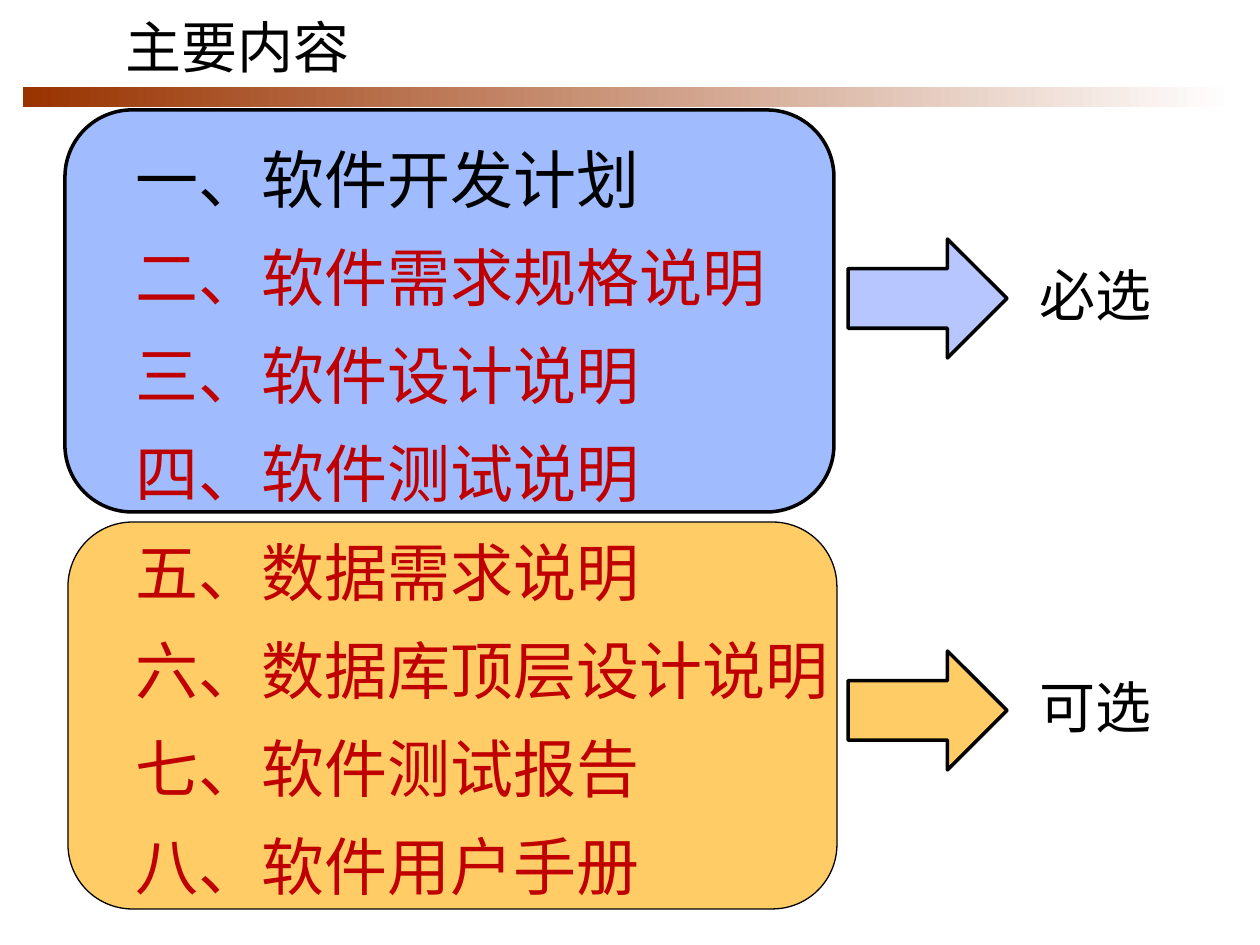
from pptx import Presentation
from pptx.dml.color import RGBColor
from pptx.enum.shapes import MSO_SHAPE as SHAPE
from pptx.enum.text import MSO_ANCHOR as ANCHOR, MSO_AUTO_SIZE as AUTO, PP_ALIGN as ALIGN
from pptx.oxml.ns import qn
from pptx.util import Pt
from lxml.etree import SubElement

BLACK = RGBColor(0x00, 0x00, 0x00)
WHITE = RGBColor(0xFF, 0xFF, 0xFF)
BROWN = RGBColor(0x99, 0x33, 0x00)
RED = RGBColor(0xC0, 0x00, 0x00)
BLUE = RGBColor(0xA0, 0xBC, 0xFE)
LILAC = RGBColor(0xB7, 0xC6, 0xFE)
ORANGE = RGBColor(0xFF, 0xCC, 0x66)

CHAPTERS = [
    "一、软件开发计划",
    "二、软件需求规格说明",
    "三、软件设计说明",
    "四、软件测试说明",
    "五、数据需求说明",
    "六、数据库顶层设计说明",
    "七、软件测试报告",
    "八、软件用户手册",
]


def px(*lengths):
    return [round(n * 914400 / 126) for n in lengths]


class SlideBuilder:
    font_name = "Noto Sans CJK SC"

    def __init__(self, slide):
        self.slide = slide

    def style(self, p, size):
        p.alignment = ALIGN.LEFT
        p.font.size = Pt(size)
        p.font.name = self.font_name
        SubElement(p.font._element, qn("a:ea"), typeface=self.font_name)

    def shape(self, kind, box, fill, line_width):
        sp = self.slide.shapes.add_shape(kind, *px(*box))
        sp.shadow.inherit = False
        sp.fill.solid()
        sp.fill.fore_color.rgb = fill
        sp.line.color.rgb = BLACK
        sp.line.width = Pt(line_width)
        return sp

    def gradient_bar(self, box, start, end):
        sp = self.slide.shapes.add_shape(SHAPE.RECTANGLE, *px(*box))
        sp.shadow.inherit = False
        sp.line.fill.background()
        sp.fill.gradient()
        sp.fill.gradient_angle = 0
        for stop, color, position in zip(sp.fill.gradient_stops, (start, end), (0, 1)):
            stop.color.rgb = color
            stop.position = position

    def title(self, box, lines, size):
        sp = self.slide.shapes.title
        sp.left, sp.top, sp.width, sp.height = px(*box)
        self.slide.shapes._spTree.append(sp._element)
        tf = sp.text_frame
        tf.word_wrap = True
        tf.auto_size = AUTO.NONE
        tf.vertical_anchor = ANCHOR.MIDDLE
        p = tf.paragraphs[0]
        p.line_spacing = 1.3
        self.style(p, size)
        for i, line in enumerate(lines):
            if i:
                p.add_line_break()
            r = p.add_run()
            r.text = line
            r.font.color.rgb = RED if i else BLACK

    def label(self, box, text, size):
        tf = self.slide.shapes.add_textbox(*px(*box)).text_frame
        tf.word_wrap = True
        p = tf.paragraphs[0]
        p.text = text
        self.style(p, size)
        p.font.color.rgb = BLACK


def main():
    prs = Presentation()
    prs.slide_width, prs.slide_height = px(1260, 945)
    s = SlideBuilder(prs.slides.add_slide(prs.slide_layouts[5]))

    s.gradient_bar((23, 87, 1211, 20), BROWN, WHITE)
    s.shape(SHAPE.ROUNDED_RECTANGLE, (68, 522, 769, 387), ORANGE, 0.75)
    s.shape(SHAPE.ROUNDED_RECTANGLE, (65, 110, 769, 402), BLUE, 2)
    s.title((123, 111, 1071, 799), CHAPTERS, 36)
    s.label((113, 6, 576, 81), "主要内容", 32)
    for top, fill, text in ((239, LILAC, "必选"), (651, ORANGE, "可选")):
        s.shape(SHAPE.RIGHT_ARROW, (848, top, 159, 119), fill, 2)
        s.label((1027, top + 15, 169, 81), text, 32)
    prs.save("out.pptx")


if __name__ == "__main__":
    main()
